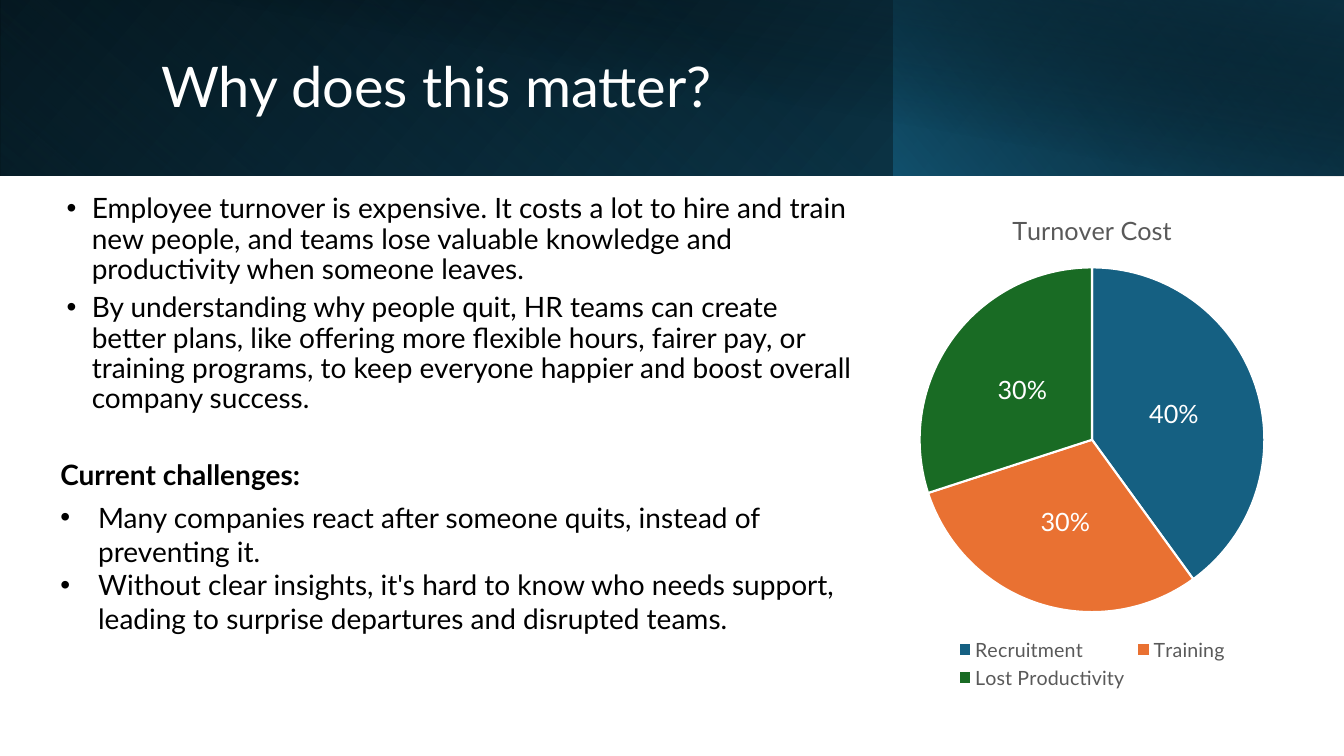
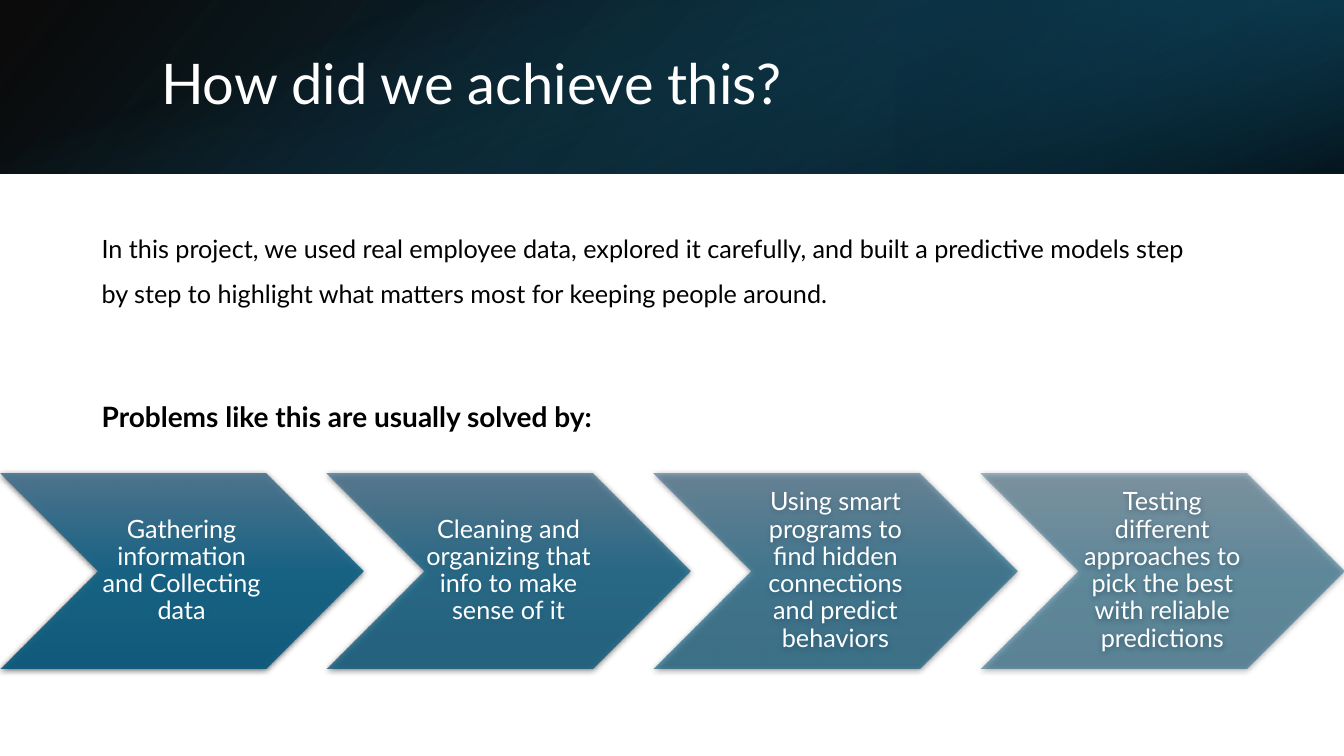
"""Builds two slides on employee turnover: why it matters and how it was studied."""
import pptx
import pptx.chart.data
import pptx.dml.color
import pptx.enum.chart
import pptx.enum.shapes
import pptx.enum.text
import pptx.oxml
import pptx.oxml.ns
import pptx.util

Pt = pptx.util.Pt
SHAPES = pptx.enum.shapes.MSO_SHAPE
ANCHOR = pptx.enum.text.MSO_ANCHOR
ALIGN = pptx.enum.text.PP_ALIGN
FONT = "Lato"
SLIDE_WIDTH, SLIDE_HEIGHT = 960, 540
COLORS = {
    "black": "000000", "white": "FFFFFF", "grey": "595959",
    "blue": "156082", "deep": "104862", "navy": "0B3041",
    "orange": "E97132", "green": "196B24",
    "step_top": "4C7591", "step_middle": "106287", "step_bottom": "09597D",
}


def rgb(name):
    return pptx.dml.color.RGBColor.from_string(COLORS[name])


def xml(markup):
    tag, rest = markup.split(" ", 1)
    return pptx.oxml.parse_xml(f"{tag} {pptx.oxml.ns.nsdecls('a')} {rest}")


def style_font(font, size, color, bold=False):
    font.name = FONT
    font.size = Pt(size)
    font.bold = bold
    font.color.rgb = rgb(color)


def add_gradient_shape(slide, kind, place, stops, angle, flip=False, rotation=0):
    shape = slide.shapes.add_shape(kind, *map(Pt, place))
    shape.shadow.inherit = False
    shape.line.fill.background()
    shape.fill.background()
    shape.rotation = rotation
    properties = shape._element.spPr
    if flip:
        properties.find(pptx.oxml.ns.qn("a:xfrm")).set("flipH", "1")
    stop_markup = "".join(
        f'<a:gs pos="{position * 1000}"><a:srgbClr val="{COLORS[color]}">'
        f'<a:alpha val="{opacity * 1000}"/></a:srgbClr></a:gs>'
        for position, color, opacity in stops)
    gradient = xml(f'<a:gradFill rotWithShape="1"><a:gsLst>{stop_markup}</a:gsLst>'
                   f'<a:lin ang="{angle * 60000}" scaled="0"/></a:gradFill>')
    empty_fill = properties.find(pptx.oxml.ns.qn("a:noFill"))
    properties.replace(empty_fill, gradient)
    return shape


def add_band(slide, place, stops, angle, flip=False, rotation=0):
    add_gradient_shape(slide, SHAPES.RECTANGLE, place, stops, angle, flip, rotation)


def add_text_box(slide, place, anchor=ANCHOR.TOP):
    box = slide.shapes.add_textbox(*map(Pt, place))
    box.text_frame.word_wrap = True
    box.text_frame.vertical_anchor = anchor
    return box


def add_paragraph(box, text, size, color="black", bold=False, spacing=1.0,
                  before=0, after=0, bullet=None):
    frame = box.text_frame
    para = frame.paragraphs[0]
    if para.runs:
        para = frame.add_paragraph()
    para.line_spacing = spacing
    para.space_before = Pt(before)
    para.space_after = Pt(after)
    if bullet:
        margin, hanging = bullet
        properties = para._p.get_or_add_pPr()
        properties.set("marL", str(Pt(margin)))
        properties.set("indent", str(-Pt(hanging)))
        properties.append(xml('<a:buFont typeface="Arial"/>'))
        properties.append(xml('<a:buChar char="•"/>'))
    span = para.add_run()
    span.text = text
    style_font(span.font, size, color, bold)
    return para


def add_title(slide, text, top, height):
    box = add_text_box(slide, (108, top, 780, height), ANCHOR.MIDDLE)
    add_paragraph(box, text, 40, "white", spacing=0.9)


def add_pie(slide, place, title, shares, colors):
    data = pptx.chart.data.CategoryChartData()
    data.categories = list(shares)
    data.add_series("Series 1", list(shares.values()))
    chart = slide.shapes.add_chart(
        pptx.enum.chart.XL_CHART_TYPE.PIE, *map(Pt, place), data).chart
    style_font(chart.font, 10, "black")
    chart.has_title = True
    span = chart.chart_title.text_frame.paragraphs[0].add_run()
    span.text = title
    style_font(span.font, 18, "grey")
    chart.chart_title.include_in_layout = False
    chart.has_legend = True
    chart.legend.position = pptx.enum.chart.XL_LEGEND_POSITION.BOTTOM
    chart.legend.include_in_layout = False
    style_font(chart.legend.font, 14, "grey")
    plot = chart.plots[0]
    plot.vary_by_categories = True
    for index, color in enumerate(colors):
        point = plot.series[0].points[index]
        point.format.fill.solid()
        point.format.fill.fore_color.rgb = rgb(color)
        point.format.line.color.rgb = rgb("white")
        point.format.line.width = Pt(1.5)
    labels = plot.series[0].data_labels
    labels.show_percentage = True
    labels.show_value = False
    labels.number_format = "0%"
    labels.number_format_is_linked = False
    labels.position = pptx.enum.chart.XL_LABEL_POSITION.CENTER
    style_font(labels.font, 18, "white")


def add_steps(slide, texts, top, width, height):
    gaps = len(texts) - 1
    for index, text in enumerate(texts):
        opacity = round(90 - 40 * index / gaps)
        left = (SLIDE_WIDTH - width) * index / gaps
        stops = [(0, "step_top", opacity), (50, "step_middle", opacity),
                 (100, "step_bottom", opacity)]
        step = add_gradient_shape(
            slide, SHAPES.CHEVRON, (left, top, width, height), stops, 90)
        effects = step._element.spPr.find(pptx.oxml.ns.qn("a:effectLst"))
        effects.append(xml(
            f'<a:outerShdw blurRad="{Pt(4.5)}" dist="{Pt(1.5)}" dir="5400000" '
            f'rotWithShape="0"><a:srgbClr val="{COLORS["black"]}">'
            '<a:alpha val="63000"/></a:srgbClr></a:outerShdw>'))
        frame = step.text_frame
        frame.word_wrap = True
        frame.vertical_anchor = ANCHOR.MIDDLE
        frame.margin_left = frame.margin_right = 0
        frame.margin_top = frame.margin_bottom = 0
        para = add_paragraph(step, text, 18, "white", spacing=0.9)
        para.alignment = ALIGN.CENTER


def build_reasons(slide):
    add_band(slide, (0, 0, SLIDE_WIDTH, 125.5),
             [(0, "black", 100), (100, "deep", 100)], 140, flip=True)
    add_band(slide, (0, 0, 639, 125.5),
             [(20, "blue", 0), (100, "navy", 55)], 230, flip=True, rotation=180)
    add_band(slide, (638.5, 0, 321.5, 125.5),
             [(0, "blue", 66), (100, "black", 30)], 220, flip=True)
    add_band(slide, (36, 0, 924, 126),
             [(50, "black", 0), (99, "navy", 52)], 280)
    add_title(slide, "Why does this matter?", 23, 81.5)

    box = add_text_box(slide, (36, 135.5, 582, 330))
    for text in (
        "Employee turnover is expensive. It costs a lot to hire and train new people, "
        "and teams lose valuable knowledge and productivity when someone leaves.",
        "By understanding why people quit, HR teams can create better plans, like "
        "offering more flexible hours, fairer pay, or training programs, to keep "
        "everyone happier and boost overall company success.",
    ):
        add_paragraph(box, text, 20, spacing=0.9, after=6, bullet=(22.5, 18))
    add_paragraph(box, "Current challenges:", 20, bold=True, spacing=0.9,
                  before=27.6, after=6)
    for text in (
        "Many companies react after someone quits, instead of preventing it.",
        "Without clear insights, it's hard to know who needs support, leading to "
        "surprise departures and disrupted teams.",
    ):
        add_paragraph(box, text, 20, bullet=(27, 27))

    add_pie(slide, (618, 137.5, 324, 358), "Turnover Cost",
            {"Recruitment": 40, "Training": 30, "Lost Productivity": 30},
            ("blue", "orange", "green"))


def build_method(slide):
    add_band(slide, (0, 0, SLIDE_WIDTH, 124),
             [(0, "black", 96), (100, "deep", 100)], 140, flip=True)
    add_band(slide, (640, 0, 320, 124),
             [(19, "navy", 68), (100, "blue", 79)], 320, flip=True, rotation=180)
    add_band(slide, (418, -418, 124, SLIDE_WIDTH),
             [(23, "blue", 0), (99, "black", 74)], 340, rotation=90)
    add_title(slide, "How did we achieve this?", 27, 69)
    add_steps(slide, (
        "Gathering information and Collecting data",
        "Cleaning and organizing that info to make sense of it",
        "Using smart programs to find hidden connections and predict behaviors",
        "Testing different approaches to pick the best with reliable predictions",
    ), 338, 259.5, 139.5)
    box = add_text_box(slide, (65.5, 152, 810, 163))
    add_paragraph(
        box, "In this project, we used real employee data, explored it carefully, and "
        "built a predictive models step by step to highlight what matters most for "
        "keeping people around.", 18, spacing=1.5)
    add_paragraph(box, "Problems like this are usually solved by:", 20, bold=True,
                  before=64.8)


def main():
    deck = pptx.Presentation()
    deck.slide_width = Pt(SLIDE_WIDTH)
    deck.slide_height = Pt(SLIDE_HEIGHT)
    for build in (build_reasons, build_method):
        build(deck.slides.add_slide(deck.slide_layouts[6]))
    deck.save("out.pptx")


if __name__ == "__main__":
    main()
